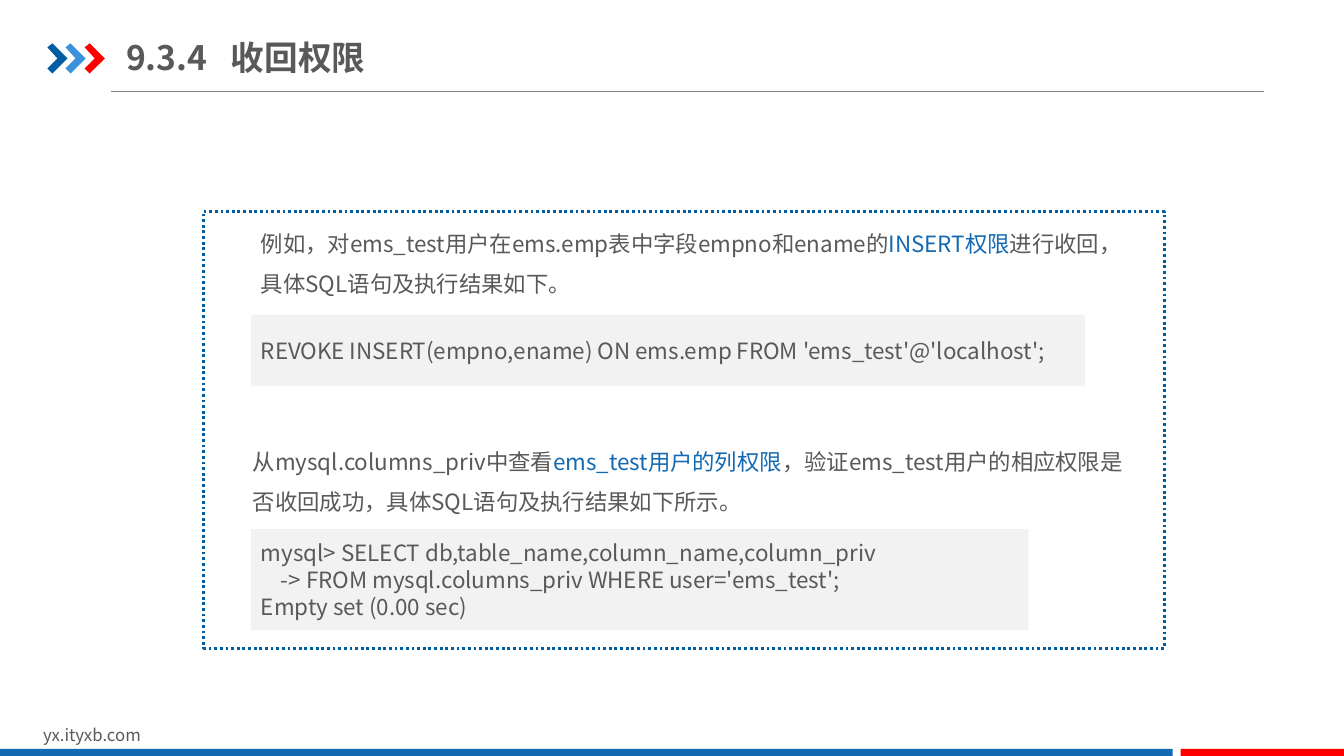
from lxml import etree
from pptx import Presentation
from pptx.dml.color import RGBColor
from pptx.enum.dml import MSO_LINE
from pptx.enum.shapes import MSO_CONNECTOR, MSO_SHAPE
from pptx.enum.text import MSO_ANCHOR, MSO_AUTO_SIZE, PP_ALIGN
from pptx.oxml.ns import qn
from pptx.util import Pt

PX = 9144  # EMU, 100 px to the inch
FONT = "Noto Sans CJK SC"
WHITE = RGBColor(0xFF, 0xFF, 0xFF)
PALE = RGBColor(0xF2, 0xF2, 0xF2)
GRAY = RGBColor(0x80, 0x80, 0x80)
INK = RGBColor(0x59, 0x59, 0x59)
NAVY = RGBColor(0x00, 0x5D, 0xA2)
BLUE = RGBColor(0x13, 0x69, 0xB2)
SKY = RGBColor(0x39, 0x92, 0xDB)
RED = RGBColor(0xFF, 0x00, 0x00)

RECT = MSO_SHAPE.RECTANGLE
FRAME = MSO_SHAPE.FLOWCHART_PROCESS
STRAIGHT = MSO_CONNECTOR.STRAIGHT
DOTS = MSO_LINE.ROUND_DOT
MIDDLE = MSO_ANCHOR.MIDDLE
LEFT = PP_ALIGN.LEFT
FIT = MSO_AUTO_SIZE.SHAPE_TO_FIT_TEXT
FIXED = MSO_AUTO_SIZE.NONE

CHEVRON = [(0, 4), (5, 0), (20, 15), (5, 30), (0, 25), (10, 15)]


class Page:
    def __init__(self, deck):
        self.slide = deck.slides.add_slide(deck.slide_layouts[5])
        self.shapes = self.slide.shapes

    def scale(self, box):
        return [n * PX for n in box]

    def style(self, run, size, color=INK, bold=False):
        font = run.font
        font.size, font.bold, font.name = Pt(size), bold, FONT
        font.color.rgb = color
        east = etree.SubElement(run._r.get_or_add_rPr(), qn("a:ea"))
        east.set("typeface", FONT)

    def title(self, text, box, tab):
        """Fill the title; tab is the px from its left edge to the tab stop."""
        shape = self.shapes.title
        shape.left, shape.top, shape.width, shape.height = self.scale(box)
        frame = shape.text_frame
        frame.text = text
        frame.auto_size, frame.vertical_anchor = FIXED, MIDDLE
        frame.margin_left = frame.margin_right = 0
        para = frame.paragraphs[0]
        para.alignment = LEFT
        stops = etree.SubElement(para._p.get_or_add_pPr(), qn("a:tabLst"))
        etree.SubElement(stops, qn("a:tab"), pos=str(tab * PX), algn="l")
        for run in para.runs:
            self.style(run, 24, bold=True)

    def rule(self, left, right, top):
        line = self.shapes.add_connector(
            STRAIGHT, *self.scale((left, top, right, top)))
        line.line.color.rgb, line.line.width = GRAY, Pt(0.75)
        etree.SubElement(line._element.spPr, qn("a:effectLst"))

    def paint(self, shape, fill):
        shape.shadow.inherit = False
        shape.fill.solid()
        shape.fill.fore_color.rgb = fill
        shape.line.fill.background()
        return shape

    def chevron(self, left, top, fill):
        first, *rest = [(left + x, top + y) for x, y in CHEVRON]
        path = self.shapes.build_freeform(*first, scale=PX)
        path.add_line_segments(rest, close=True)
        self.paint(path.convert_to_shape(), fill)

    def block(self, box, fill, kind=RECT):
        return self.paint(self.shapes.add_shape(kind, *self.scale(box)), fill)

    def frame(self, box):
        line = self.block(box, WHITE, FRAME).line
        line.color.rgb, line.width, line.dash_style = NAVY, Pt(2), DOTS

    def code(self, text, box):
        frame = self.block(box, PALE).text_frame
        frame.text = text
        frame.word_wrap, frame.vertical_anchor = True, MIDDLE
        for para in frame.paragraphs:
            para.alignment = LEFT
            for run in para.runs:
                self.style(run, 16)

    def text(self, parts, box, size=16, space=1.5):
        """Write one paragraph from (text, color) parts."""
        frame = self.shapes.add_textbox(*self.scale(box)).text_frame
        frame.word_wrap, frame.auto_size = True, FIT
        para = frame.paragraphs[0]
        para.line_spacing = space
        for words, color in parts:
            run = para.add_run()
            run.text = words
            self.style(run, size, color)


def main():
    deck = Presentation()
    deck.slide_width, deck.slide_height = 1333 * PX, 750 * PX
    page = Page(deck)

    page.title("9.3.4\t收回权限", (125, 29, 464, 55), tab=104)
    page.rule(110, 1254, 91)
    for i, color in enumerate((NAVY, SKY, RED)):
        page.chevron(47 + i * 37 // 2, 43, color)

    page.text([("yx.ityxb.com", INK)], (33, 714, 318, 30), 12, 1.0)
    page.block((0, 743, 1163, 9), BLUE)
    page.block((1171, 743, 163, 9), RED)

    page.frame((202, 210, 953, 433))
    page.text([("例如，对ems_test用户在ems.emp表中字段empno和ename的", INK),
               ("INSERT权限", BLUE),
               ("进行收回，具体SQL语句及执行结果如下。", INK)],
              (249, 210, 887, 91))
    page.code("REVOKE INSERT(empno,ename) ON ems.emp "
              "FROM 'ems_test'@'localhost';", (249, 312, 827, 71))
    page.text([("从mysql.columns_priv中查看", INK),
               ("ems_test用户的列权限", BLUE),
               ("，验证ems_test用户的相应权限是否收回成功，"
                "具体SQL语句及执行结果如下所示。", INK)],
              (241, 426, 887, 91))
    page.code("mysql> SELECT db,table_name,column_name,column_priv\n"
              "    -> FROM mysql.columns_priv WHERE user='ems_test';\n"
              "Empty set (0.00 sec)", (249, 525, 771, 100))
    deck.save("out.pptx")


if __name__ == "__main__":
    main()
